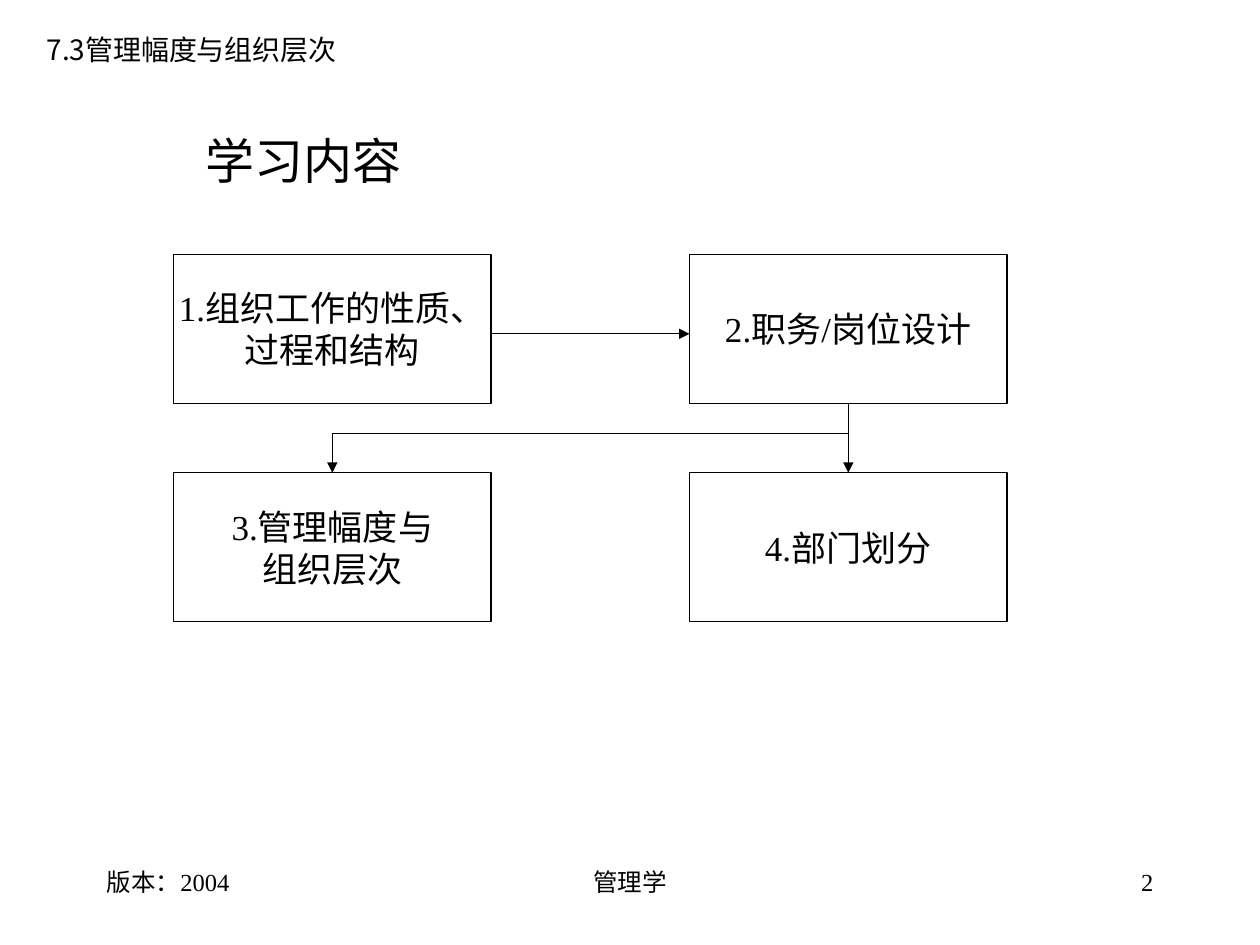
from dataclasses import dataclass

import pptx
import pptx.dml.color
import pptx.enum.shapes
import pptx.enum.text
import pptx.oxml.ns
import pptx.slide
import pptx.util
from lxml import etree
from pptx.util import Cm

BLACK = pptx.dml.color.RGBColor(0, 0, 0)
WHITE = pptx.dml.color.RGBColor(255, 255, 255)
SERIF = "Times New Roman"
CJK = "Noto Sans CJK SC"
ALIGN = pptx.enum.text.PP_ALIGN

BOX_WIDTH, BOX_HEIGHT = 6.4, 3.0
COLUMNS = (3.5, 13.9)
ROWS = (5.13, 9.53)
BRANCH_Y = 8.74


@dataclass
class Label:
    text: str
    left: float
    top: float
    width: float
    height: float
    size: int
    font: str = SERIF
    align: ALIGN = ALIGN.LEFT


@dataclass
class Topic:
    lines: tuple[str, ...]
    column: int
    row: int


@dataclass
class Link:
    start: tuple[float, float]
    end: tuple[float, float]
    arrow: bool = True


LABELS = [
    Label("7.3管理幅度与组织层次", 0.69, 0.53, 6.81, 0.94, 16, CJK),
    Label("学习内容", 3.89, 2.51, 4.8, 1.45, 28),
    Label("版本：2004", 1.9, 17.35, 5.3, 1.27, 14),
    Label("管理学", 8.68, 17.35, 8.04, 1.27, 14, align=ALIGN.CENTER),
    Label("2", 18.2, 17.35, 5.3, 1.27, 14, align=ALIGN.RIGHT),
]

TOPICS = [
    Topic(("1.组织工作的性质、", "过程和结构"), 0, 0),
    Topic(("2.职务/岗位设计",), 1, 0),
    Topic(("3.管理幅度与", "组织层次"), 0, 1),
    Topic(("4.部门划分",), 1, 1),
]

LEFT_CENTRE, RIGHT_CENTRE = (left + BOX_WIDTH / 2 for left in COLUMNS)
TOP_ROW_MIDDLE = ROWS[0] + 1.6
LINKS = [
    Link((LEFT_CENTRE, BRANCH_Y), (RIGHT_CENTRE, BRANCH_Y), arrow=False),
    Link((COLUMNS[0] + BOX_WIDTH, TOP_ROW_MIDDLE), (COLUMNS[1], TOP_ROW_MIDDLE)),
    Link((RIGHT_CENTRE, ROWS[0] + BOX_HEIGHT), (RIGHT_CENTRE, ROWS[1])),
    Link((LEFT_CENTRE, BRANCH_Y), (LEFT_CENTRE, ROWS[1])),
]


def write_lines(text_frame, lines: tuple[str, ...], size: int, font: str, align: ALIGN) -> None:
    """Write one paragraph per line, with a CJK face for the Chinese characters."""
    for index, line in enumerate(lines):
        paragraph = text_frame.add_paragraph() if index else text_frame.paragraphs[0]
        paragraph.alignment = align
        run = paragraph.add_run()
        run.text = line
        run.font.size = pptx.util.Pt(size)
        run.font.name = font
        run.font.color.rgb = BLACK
        east_asian = etree.SubElement(run.font._element, pptx.oxml.ns.qn("a:ea"))
        east_asian.set("typeface", CJK)


def add_label(slide: pptx.slide.Slide, label: Label) -> None:
    shape = slide.shapes.add_textbox(
        Cm(label.left), Cm(label.top), Cm(label.width), Cm(label.height)
    )
    shape.text_frame.word_wrap = True
    write_lines(shape.text_frame, (label.text,), label.size, label.font, label.align)


def add_topic(slide: pptx.slide.Slide, topic: Topic) -> None:
    shape = slide.shapes.add_shape(
        pptx.enum.shapes.MSO_SHAPE.RECTANGLE,
        Cm(COLUMNS[topic.column]), Cm(ROWS[topic.row]), Cm(BOX_WIDTH), Cm(BOX_HEIGHT),
    )
    shape.shadow.inherit = False
    shape.fill.solid()
    shape.fill.fore_color.rgb = WHITE
    shape.line.color.rgb = BLACK
    shape.line.width = pptx.util.Pt(0.75)
    shape.text_frame.word_wrap = False
    shape.text_frame.vertical_anchor = pptx.enum.text.MSO_ANCHOR.MIDDLE
    write_lines(shape.text_frame, topic.lines, 20, SERIF, ALIGN.CENTER)


def add_link(slide: pptx.slide.Slide, link: Link) -> None:
    connector = slide.shapes.add_connector(
        pptx.enum.shapes.MSO_CONNECTOR.STRAIGHT,
        *(Cm(value) for value in link.start + link.end),
    )
    connector.line.color.rgb = BLACK
    connector.line.width = pptx.util.Pt(0.75)
    if link.arrow:
        line = connector.line._get_or_add_ln()
        etree.SubElement(line, pptx.oxml.ns.qn("a:tailEnd")).set("type", "triangle")
    etree.SubElement(connector._element.spPr, pptx.oxml.ns.qn("a:effectLst"))


def main() -> None:
    presentation = pptx.Presentation()
    presentation.slide_width = Cm(25.4)
    presentation.slide_height = Cm(19.05)
    slide = presentation.slides.add_slide(presentation.slide_layouts[6])
    for label in LABELS:
        add_label(slide, label)
    for topic in TOPICS:
        add_topic(slide, topic)
    for link in LINKS:
        add_link(slide, link)
    presentation.save("out.pptx")


if __name__ == "__main__":
    main()
